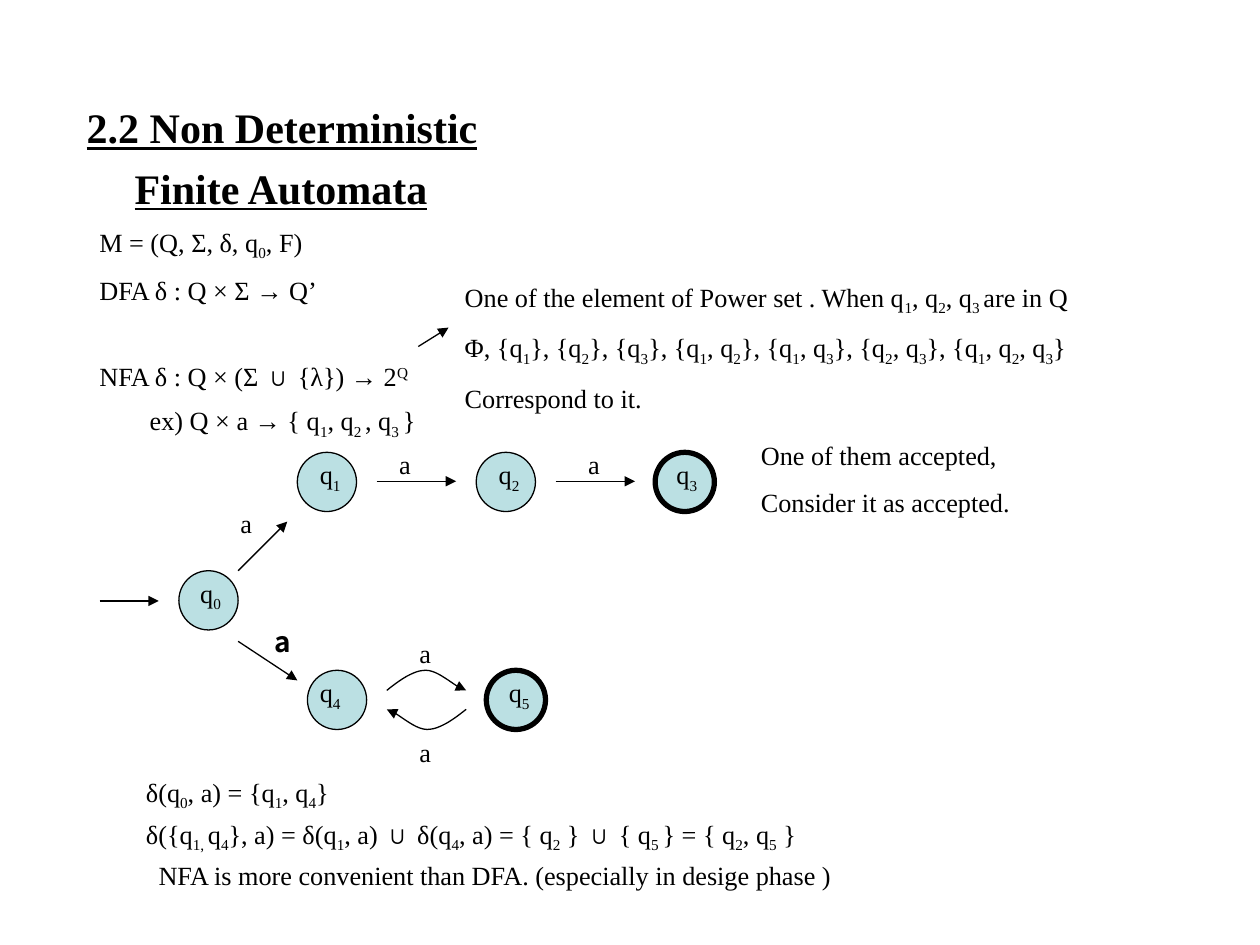
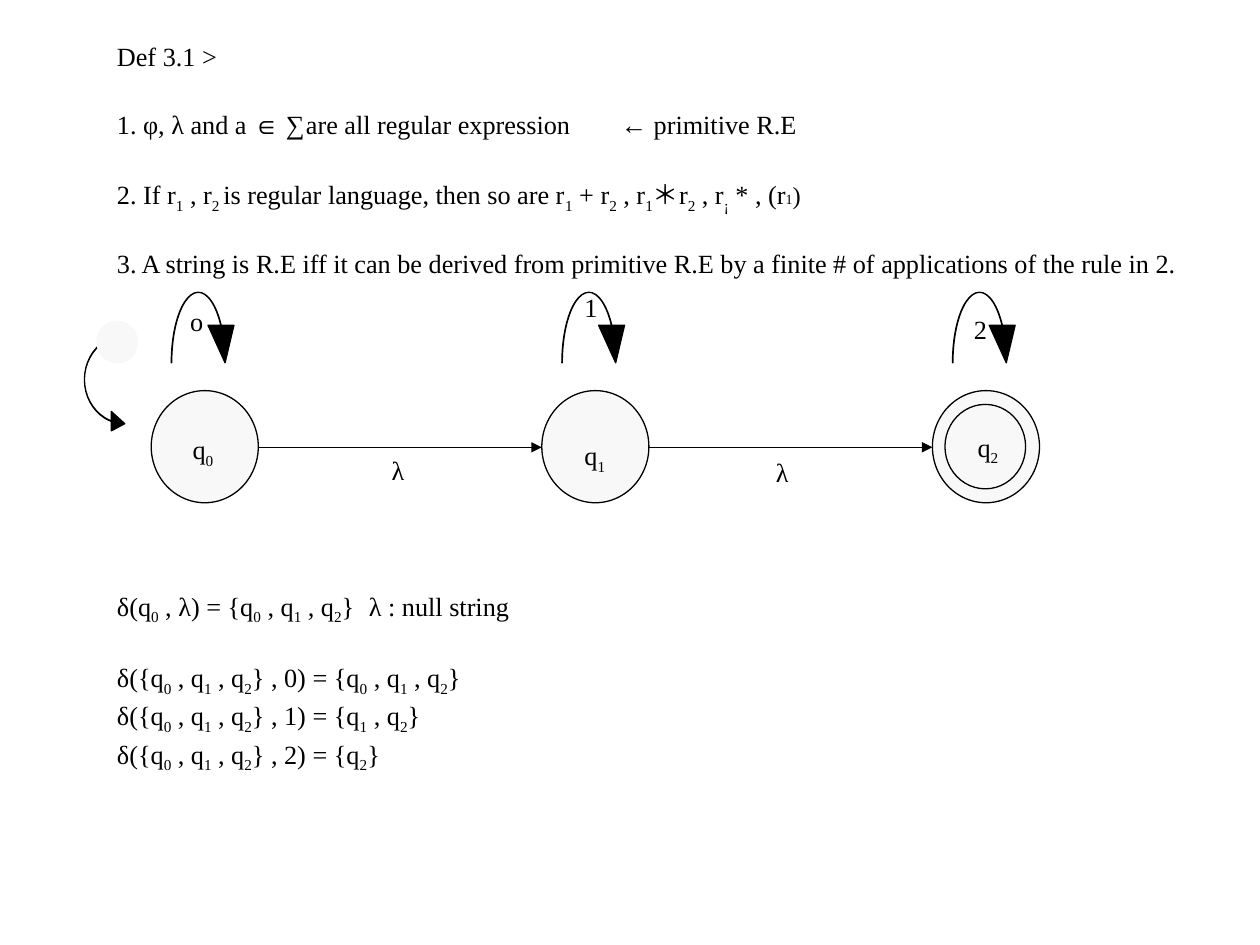
from dataclasses import dataclass
from lxml.etree import SubElement as Sub
from pptx import Presentation as Deck
from pptx.dml.color import RGBColor as Rgb
from pptx.enum.shapes import MSO_CONNECTOR as Link, MSO_SHAPE as Form
from pptx.oxml.ns import qn
from pptx.util import Inches, Pt


@dataclass(frozen=True)
class Theme:
    ink: Rgb = Rgb(0, 0, 0)
    teal: Rgb = Rgb(0xBB, 0xE0, 0xE3)
    pale: Rgb = Rgb(0xF8, 0xF8, 0xF8)
    font: str = "Times New Roman"
    sans: str = "Noto Sans CJK KR"
    head: float = 24
    body: float = 15
    mark: float = 16
    tiny: float = 8
    close: float = 14
    thin: float = 0.75
    thick: float = 3
    tight: float = 3.45
    loose: float = 8.6


T = Theme()


def style(run, size, bold, font, kind):
    face = run.font
    face.name, face.bold = font, bold
    face.size = Pt({"tiny": T.tiny, "close": T.close}.get(kind, size))
    face.color.rgb = T.ink
    if kind in ("sub", "sup"):
        level = "-25000" if kind == "sub" else "30000"
        run._r.get_or_add_rPr().set("baseline", level)


def fill_para(para, words, size=T.body, bold=False, font=T.font,
              under=False, gap=0, lead=1, left=0, hang=0, tabs=()):
    kinds = {"^": "sup", "!": "tiny", "%": "close"}
    for spot, part in enumerate(words.split("~")):
        if not part:
            continue
        kind = None
        if spot % 2:
            kind = kinds.get(part[0], "sub")
            part = part.lstrip("^!%")
        run = para.add_run()
        run.text = part
        style(run, size, bold, font, kind)
        if under:
            run.font.underline = True
    para.space_before = Pt(gap)
    para.line_spacing = lead
    props = para._p.get_or_add_pPr()
    props.set("marL", str(Inches(left)))
    props.set("indent", str(Inches(-hang)))
    if tabs:
        stops = Sub(props, qn("a:tabLst"))
        for stop in tabs:
            Sub(stops, qn("a:tab"), pos=str(Inches(stop)), algn="l")


def add_text(slide, at, rows, wrap=True, **base):
    frame = slide.shapes.add_textbox(*map(Inches, at)).text_frame
    frame.word_wrap = wrap
    for spot, row in enumerate(rows):
        words, own = row if isinstance(row, tuple) else (row, {})
        para = frame.add_paragraph() if spot else frame.paragraphs[0]
        fill_para(para, words, **{**base, **own})


def add_label(slide, x, y, words, wide=0.34, wrap=True, **look):
    add_text(slide, (x, y, wide, 0.35), [words], wrap, **look)


def add_form(slide, form, at, fill, line=T.ink, width=T.thin, turns=()):
    shape = slide.shapes.add_shape(form, *map(Inches, at))
    shape.shadow.inherit = False
    shape.fill.solid()
    shape.fill.fore_color.rgb = fill
    shape.line.color.rgb = line
    shape.line.width = Pt(width)
    for spot, turn in enumerate(turns):
        shape.adjustments[spot] = turn


def add_tip(shape):
    shape.line.color.rgb = T.ink
    shape.line.width = Pt(T.thin)
    Sub(shape.line._get_or_add_ln(), qn("a:tailEnd"), type="triangle")


def add_arrow(slide, start, end):
    line = slide.shapes.add_connector(
        Link.STRAIGHT, *map(Inches, (*start, *end)))
    add_tip(line)
    Sub(line._element.spPr, qn("a:effectLst"))


def bend(a, b, c, d, steps=12):
    for step in range(1, steps + 1):
        t = step / steps
        s = 1 - t
        yield tuple(Inches(s**3 * i + 3 * s * s * t * j
                           + 3 * s * t * t * k + t**3 * m)
                    for i, j, k, m in zip(a, b, c, d))


def add_curve(slide, knots):
    pen = slide.shapes.build_freeform(*map(Inches, knots[0]))
    dots = [*bend(*knots[:4]), *bend(*knots[3:])]
    pen.add_line_segments(dots, close=False)
    shape = pen.convert_to_shape()
    shape.shadow.inherit = False
    shape.fill.background()
    add_tip(shape)


def draw_tree(slide):
    side = 0.47
    nodes = [(1.42, 4.53, 0.07, False), (2.36, 3.59, 0.08, False),
             (3.78, 3.59, 0.08, False), (5.2, 3.59, 0.07, True),
             (2.44, 5.32, 0, False), (3.86, 5.32, 0.08, True)]
    for spot, (x, y, shift, final) in enumerate(nodes):
        add_form(slide, Form.OVAL, (x, y, side, side), T.teal,
                 width=T.thick if final else T.thin)
        add_label(slide, x + shift, y, f"q~{spot}~", 0.63)
    for start, end in [((1.89, 4.53), (2.28, 4.14)),
                       ((2.99, 3.82), (3.62, 3.82)),
                       ((4.41, 3.82), (5.04, 3.82)),
                       ((1.89, 5.09), (2.36, 5.4)),
                       ((0.79, 4.77), (1.26, 4.77)),
                       ((3.32, 2.75), (3.56, 2.6))]:
        add_arrow(slide, start, end)
    over = [(3.07, 5.48), (3.17, 5.4), (3.28, 5.32), (3.38, 5.32),
            (3.49, 5.32), (3.63, 5.47), (3.7, 5.48)]
    add_curve(slide, over)
    add_curve(slide, [(6.77 - x, 11.11 - y) for x, y in over])
    for x, y in [(3.23, 5.79), (4.57, 3.51), (3.07, 3.51),
                 (1.81, 3.98), (3.23, 5.01)]:
        add_label(slide, x, y, "a")
    add_label(slide, 2.08, 4.91, "a", wrap=False,
              size=T.mark, bold=True, font=T.sans)


def build_nfa(slide):
    add_text(slide, (0.59, 0.68, 4.17, 2.36), [
        ("2.2 Non Deterministic Finite Automata",
         dict(size=T.head, bold=True, under=True, left=0.38, hang=0.38)),
        "M = (Q, Σ, δ, q~0~, F)",
        "DFA δ : Q × Σ → Q’",
        ("NFA δ : Q × (Σ ∪ {λ}) → 2~^Q~", dict(gap=27.5)),
        ("ex) Q × a → { q~1~, q~2 ~, q~3 ~}", dict(left=0.5)),
    ], gap=T.tight, lead=1.2, left=0.1)
    draw_tree(slide)
    add_text(slide, (1.06, 6.11, 6.69, 1.1), [
        "δ(q~0~, a) = {q~1~, q~4~}",
        "δ({q~1, ~q~4~}, a) = δ(q~1~, a) ∪ δ(q~4~, a) = "
        "{ q~2~ } ∪ { q~5 ~} = { q~2~, q~5~ }",
        ("NFA is more convenient than DFA. (especially in desige phase )",
         dict(left=0.1)),
    ], gap=T.tight)
    add_text(slide, (5.94, 3.44, 3.7, 0.73), [
        "One of them accepted,", "Consider it as accepted.",
    ], gap=T.loose)
    add_text(slide, (3.59, 2.18, 5.43, 1.11), [
        "One of the element of Power set . When q~1~, q~2~, q~3 ~are in Q",
        "Φ, {q~1~}, {q~2~}, {q~3~}, {q~1~, q~2~}, {q~1~, q~3~}, "
        "{q~2~, q~3~}, {q~1~, q~2~, q~3~}",
        "Correspond to it.",
    ], gap=T.loose)


def draw_chain(slide):
    first, pitch, wide, high = 1.2, 3.1, 0.85, 0.89
    loops = [("o", 1.41, 2.37), ("1", 4.54, 2.26), ("2", 7.63, 2.44)]
    names = [(1.43, 3.39), (4.54, 3.44), (7.66, 3.37)]
    for spot in range(3):
        x = first + spot * pitch
        add_form(slide, Form.OVAL, (x, 3.1, wide, high), T.pale)
        add_form(slide, Form.CURVED_DOWN_ARROW, (x + 0.16, 2.32, 0.53, 0.56),
                 T.ink, turns=(0.006, 0.388, 0.562))
        if spot < 2:
            add_arrow(slide, (x + wide, 3.55), (x + pitch, 3.55))
    add_form(slide, Form.OVAL, (7.5, 3.21, 0.64, 0.67), T.pale)
    add_form(slide, Form.CURVED_RIGHT_ARROW, (0.67, 2.66, 0.32, 0.78),
             T.ink, turns=(0.014, 0.48, 0.333))
    add_form(slide, Form.OVAL, (0.77, 2.55, 0.32, 0.33), T.pale, T.pale)
    for spot, (x, y) in enumerate(names):
        add_label(slide, x, y, f"q~{spot}~", 0.38, False)
    for words, x, y in loops:
        add_label(slide, x, y, words, 0.31, False)
    for x, y in [(3.01, 3.56), (6.06, 3.57)]:
        add_label(slide, x, y, "λ", 0.35, False)


def build_regex(slide):
    wide = dict(gap=22.4)
    full = "{q~0~ , q~1~ , q~2~}"
    add_text(slide, (0.83, 0.3, 9, 6.87), [
        "Def 3.1 >",
        ("1. φ, λ and a ∈ ∑\tare all regular expression\t← primitive R.E",
         dict(gap=22.4, tabs=(1.7, 4.03))),
        ("2. If r~1~ , r~2 ~is regular language, then so are r~1~ + r~2~ , "
         "r~1~＊r~2~ , r~¡~ * , (r~!1~~%)~", wide),
        ("3. A string is R.E iff it can be derived from primitive R.E "
         "by a finite # of applications of the rule in 2.", wide),
        (f"δ(q~0~ , λ) = {full}\tλ : null string",
         dict(gap=178, tabs=(4.85,))),
        (f"δ({full} , 0) = {full}", wide),
        f"δ({full} , 1) = {{q~1~ , q~2~}}",
        f"δ({full} , 2) = {{q~2~}}",
    ], gap=T.tight, lead=0.9)
    draw_chain(slide)


def main():
    deck = Deck()
    deck.slide_width, deck.slide_height = Inches(10), Inches(7.5)
    for build in (build_nfa, build_regex):
        build(deck.slides.add_slide(deck.slide_layouts[6]))
    deck.save("out.pptx")


main()
